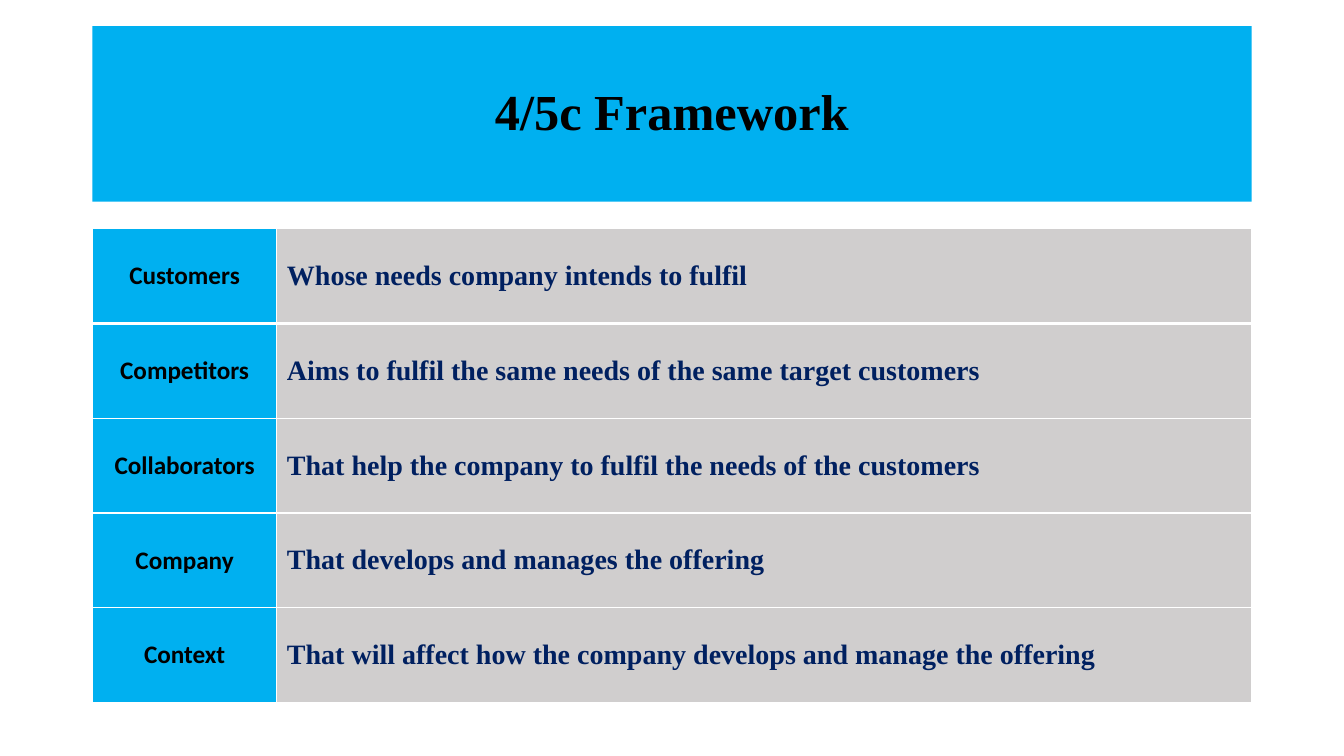
from dataclasses import dataclass

from lxml.etree import SubElement
from pptx import Presentation
from pptx.dml.color import RGBColor
from pptx.enum.text import MSO_ANCHOR, MSO_AUTO_SIZE, PP_ALIGN
from pptx.oxml.ns import qn
from pptx.slide import Slide
from pptx.table import _Cell
from pptx.text.text import TextFrame
from pptx.util import Pt

COLORS = {
    "blue": "00B0F0",
    "gray": "D0CECE",
    "navy": "002060",
    "black": "000000",
    "white": "FFFFFF",
}
LEFT, WIDTH = 66, 828
TITLE_TOP, TITLE_HEIGHT = 18.72, 125.28
TABLE_TOP, ROW_HEIGHT = 163.44, 67.68
LABEL_WIDTH = 131.76
THIN, THICK = 1, 3


@dataclass(frozen=True)
class TextStyle:
    font: str
    size: float
    color: str
    align: PP_ALIGN


@dataclass(frozen=True)
class Factor:
    label: str
    meaning: str


TITLE_STYLE = TextStyle("Times New Roman", 36, "black", PP_ALIGN.CENTER)
LABEL_STYLE = TextStyle("Calibri", 18, "black", PP_ALIGN.CENTER)
MEANING_STYLE = TextStyle("Times New Roman", 20, "navy", PP_ALIGN.LEFT)

FACTORS = [
    Factor("Customers", "Whose needs company intends to fulfil"),
    Factor("Competitors", "Aims to fulfil the same needs of the same target customers"),
    Factor("Collaborators", "That help the company to fulfil the needs of the customers"),
    Factor("Company", "That develops and manages the offering"),
    Factor("Context", "That will affect how the company develops and manage the offering"),
]


def write_text(frame: TextFrame, text: str, style: TextStyle) -> None:
    paragraph = frame.paragraphs[0]
    paragraph.alignment = style.align
    span = paragraph.add_run()
    span.text = text
    font_format = {"name": style.font, "size": Pt(style.size), "bold": True}
    for name, value in font_format.items():
        setattr(span.font, name, value)
    span.font.color.rgb = RGBColor.from_string(COLORS[style.color])


def draw_borders(cell: _Cell, top: float, bottom: float) -> None:
    properties = cell._tc.get_or_add_tcPr()
    widths = {"lnL": THIN, "lnR": THIN, "lnT": top, "lnB": bottom}
    for side, width in widths.items():
        line = SubElement(properties, qn(f"a:{side}"), w=str(Pt(width)))
        fill = SubElement(line, qn("a:solidFill"))
        SubElement(fill, qn("a:srgbClr"), val=COLORS["white"])


def draw_title(page: Slide) -> None:
    box = page.shapes.title
    place = {"left": LEFT, "top": TITLE_TOP, "width": WIDTH, "height": TITLE_HEIGHT}
    for name, value in place.items():
        setattr(box, name, Pt(value))
    box.fill.solid()
    box.fill.fore_color.rgb = RGBColor.from_string(COLORS["blue"])
    frame_format = {
        "word_wrap": True,
        "auto_size": MSO_AUTO_SIZE.NONE,
        "vertical_anchor": MSO_ANCHOR.MIDDLE,
    }
    for name, value in frame_format.items():
        setattr(box.text_frame, name, value)
    write_text(box.text_frame, "4/5c Framework", TITLE_STYLE)
    box.text_frame.paragraphs[0].line_spacing = 0.9


def draw_table(page: Slide, factors: list[Factor]) -> None:
    table = page.shapes.add_table(
        len(factors), 2, Pt(LEFT), Pt(TABLE_TOP), Pt(WIDTH), Pt(ROW_HEIGHT * len(factors))
    ).table
    table.first_row = table.horz_banding = False
    for column, width in zip(table.columns, (LABEL_WIDTH, WIDTH - LABEL_WIDTH)):
        column.width = Pt(width)

    for index, factor in enumerate(factors):
        table.rows[index].height = Pt(ROW_HEIGHT)
        contents = [
            (factor.label, LABEL_STYLE, "blue"),
            (factor.meaning, MEANING_STYLE, "gray"),
        ]
        for column, (text, style, color) in enumerate(contents):
            cell = table.cell(index, column)
            # A thick rule separates the first row from the rest
            draw_borders(
                cell,
                top=THICK if index == 1 else THIN,
                bottom=THICK if index == 0 else THIN,
            )
            cell.fill.solid()
            cell.fill.fore_color.rgb = RGBColor.from_string(COLORS[color])
            cell.vertical_anchor = MSO_ANCHOR.MIDDLE
            write_text(cell.text_frame, text, style)


def main() -> None:
    deck = Presentation()
    deck.slide_width, deck.slide_height = Pt(960), Pt(540)
    page = deck.slides.add_slide(deck.slide_layouts.get_by_name("Title Only"))

    # Framework factors
    draw_table(page, FACTORS)

    # Title banner
    draw_title(page)

    deck.save("out.pptx")


if __name__ == "__main__":
    main()
